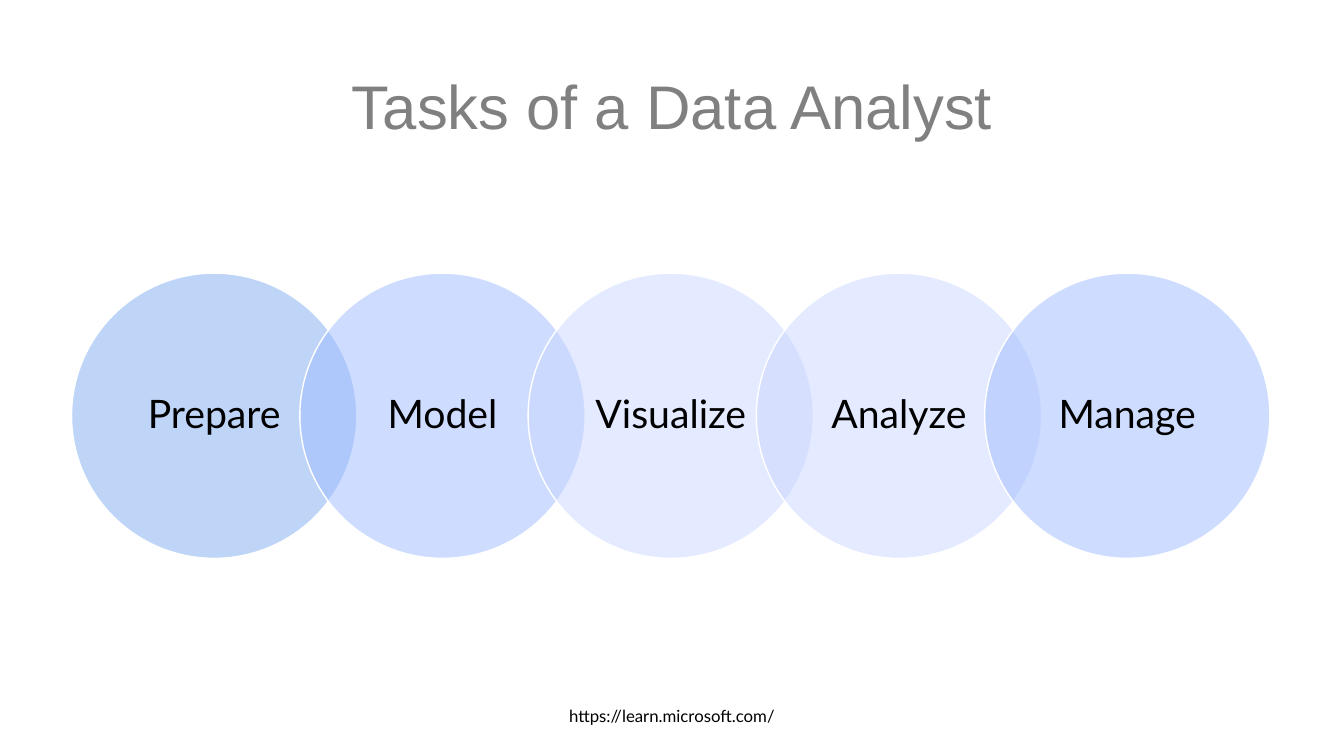
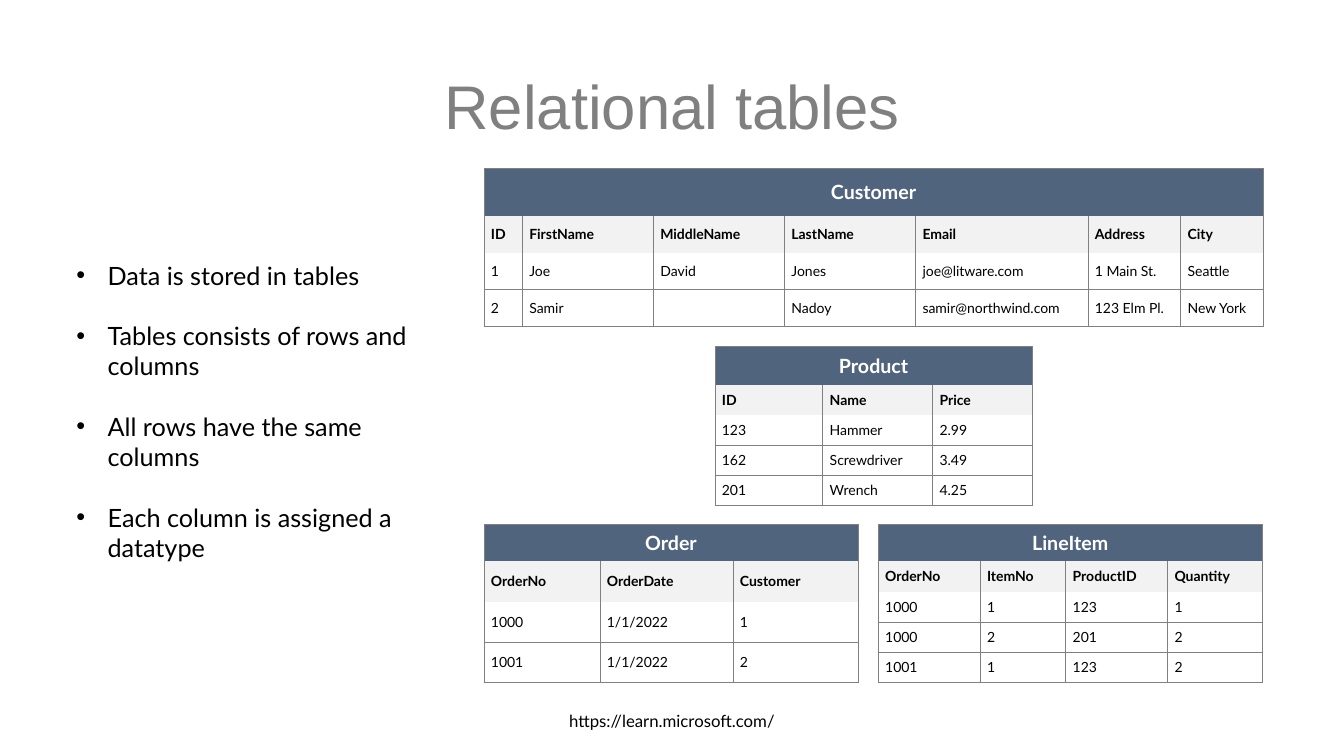
import pptx
import pptx.dml.color
import pptx.enum.shapes
import pptx.enum.text
import pptx.oxml
import pptx.oxml.ns
import pptx.util
from pptx.util import Inches

BODY_FONT, TITLE_FONT = "Lato", "Arial"
BLACK, WHITE, GRAY = "000000", "FFFFFF", "808080"
NAVY, PALE = "51647E", "F2F2F2"
SOURCE = "https://learn.microsoft.com/"
CENTER = pptx.enum.text.PP_ALIGN.CENTER
LEFT = pptx.enum.text.PP_ALIGN.LEFT
MIDDLE = pptx.enum.text.MSO_ANCHOR.MIDDLE

TASKS = [("Prepare", "7FADF3"), ("Model", "9FBCFF"), ("Visualize", "CBD6FF"),
         ("Analyze", "CBD6FF"), ("Manage", "9FBCFF")]
FACTS = ["Data is stored in tables", "Tables consists of rows and columns",
         "All rows have the same columns", "Each column is assigned a datatype"]
RELATIONS = [
    ("Customer", 4.8, 1.67, [0.38, 1.3, 1.3, 1.3, 1.71, 0.92, 0.82], 0.47,
     [["ID", "FirstName", "MiddleName", "LastName", "Email", "Address", "City"],
      ["1", "Joe", "David", "Jones", "joe@litware.com", "1 Main St.", "Seattle"],
      ["2", "Samir", "", "Nadoy", "samir@northwind.com", "123 Elm Pl.", "New York"]]),
    ("Product", 7.09, 3.44, [1.07, 1.09, 0.99], 0.38,
     [["ID", "Name", "Price"], ["123", "Hammer", "2.99"],
      ["162", "Screwdriver", "3.49"], ["201", "Wrench", "4.25"]]),
    ("Order", 4.8, 5.2, [1.15, 1.32, 1.24], 0.37,
     [["OrderNo", "OrderDate", "Customer"],
      ["1000", "1/1/2022", "1"], ["1001", "1/1/2022", "2"]]),
    ("LineItem", 8.71, 5.2, [1.01, 0.85, 1.01, 0.94], 0.37,
     [["OrderNo", "ItemNo", "ProductID", "Quantity"], ["1000", "1", "123", "1"],
      ["1000", "2", "201", "2"], ["1001", "1", "123", "2"]]),
]
RELATION_HEIGHT = 1.57


def rgb(value):
    """Turn a hex string into a colour."""
    return pptx.dml.color.RGBColor.from_string(value)


def style(paragraph, size, color=BLACK, bold=False, align=LEFT, font=BODY_FONT):
    """Set the alignment and font of one paragraph."""
    paragraph.alignment = align
    paragraph.font.name = font
    paragraph.font.size = pptx.util.Pt(size)
    paragraph.font.bold = bold
    paragraph.font.color.rgb = rgb(color)


def xml_child(parent, tag, **attributes):
    """Append a DrawingML element to a parent and return it."""
    child = pptx.oxml.parse_xml(f"<a:{tag} {pptx.oxml.ns.nsdecls('a')}/>")
    for name, value in attributes.items():
        child.set(name, str(value))
    parent.append(child)
    return child


def add_titled_slide(deck, heading, source_top):
    """Add a slide with its title and source line."""
    slide = deck.slides.add_slide(deck.slide_layouts[5])
    title = slide.shapes.title
    title.left, title.top = Inches(0.66), Inches(0.36)
    title.width, title.height = Inches(12.02), Inches(1.45)
    title.text_frame.text = heading
    title.text_frame.vertical_anchor = MIDDLE
    title.text_frame.paragraphs[0].line_spacing = 0.9
    style(title.text_frame.paragraphs[0], 44, GRAY, align=CENTER, font=TITLE_FONT)
    source = slide.shapes.add_textbox(
        Inches(3.33), Inches(source_top), Inches(6.67), Inches(0.3)).text_frame
    source.word_wrap = True
    source.text = SOURCE
    style(source.paragraphs[0], 12, align=CENTER)
    return slide


def add_task_chain(slide, left, top, diameter):
    """Draw the tasks as a row of overlapping translucent circles."""
    for index, (task, color) in enumerate(TASKS):
        circle = slide.shapes.add_shape(
            pptx.enum.shapes.MSO_SHAPE.OVAL, Inches(left + index * 0.8 * diameter),
            Inches(top), Inches(diameter), Inches(diameter))
        circle.shadow.inherit = False
        circle.fill.solid()
        circle.fill.fore_color.rgb = rgb(color)
        fill_color = circle.fill._xPr.find(".//" + pptx.oxml.ns.qn("a:srgbClr"))
        xml_child(fill_color, "alpha", val=50000)
        circle.line.color.rgb = rgb(WHITE)
        circle.line.width = pptx.util.Pt(1)
        label = circle.text_frame
        label.margin_left = label.margin_right = label.margin_top = label.margin_bottom = 0
        label.vertical_anchor = MIDDLE
        label.text = task
        label.paragraphs[0].line_spacing = 0.9
        style(label.paragraphs[0], 28, align=CENTER)


def add_facts(slide, left, top, width, height):
    """Write the bulleted facts."""
    frame = slide.shapes.add_textbox(
        Inches(left), Inches(top), Inches(width), Inches(height)).text_frame
    frame.word_wrap = True
    frame.text = "\n".join(FACTS)
    for paragraph in frame.paragraphs:
        properties = paragraph._p.get_or_add_pPr()
        properties.set("marL", str(Inches(0.31)))
        properties.set("indent", str(-Inches(0.31)))
        xml_child(properties, "buFont", typeface=TITLE_FONT)
        xml_child(properties, "buChar", char="•")
        if paragraph is not frame.paragraphs[-1]:
            paragraph.space_after = pptx.util.Pt(21.6)
        style(paragraph, 18)


def set_borders(cell, visible):
    """Draw the visible sides of a cell and hide the others."""
    properties = cell._tc.get_or_add_tcPr()
    for side in "LRTB":
        border = xml_child(properties, "ln" + side, w=pptx.util.Pt(0.5))
        if side in visible:
            xml_child(xml_child(border, "solidFill"), "srgbClr", val=GRAY)
        else:
            xml_child(border, "noFill")


def fill_cell(cell, text, borders, fill, size=10, color=BLACK, bold=False, align=LEFT):
    """Write and format one table cell."""
    cell.margin_left = cell.margin_right = Inches(0.07)
    cell.margin_top = cell.margin_bottom = Inches(0.04)
    cell.vertical_anchor = MIDDLE
    cell.text = text
    style(cell.text_frame.paragraphs[0], size, color, bold, align)
    set_borders(cell, borders)
    if fill:
        cell.fill.solid()
        cell.fill.fore_color.rgb = rgb(fill)
    else:
        cell.fill.background()


def add_relation(slide, name, left, top, widths, name_height, records):
    """Draw one relation with its name, column heads and records."""
    table = slide.shapes.add_table(
        len(records) + 1, len(widths), Inches(left), Inches(top),
        Inches(sum(widths)), Inches(RELATION_HEIGHT)).table
    table.first_row = table.horz_banding = False
    for column, width in zip(table.columns, widths):
        column.width = Inches(width)
    table.rows[0].height = Inches(name_height)
    table.cell(0, 0).merge(table.cell(0, len(widths) - 1))
    for column in range(len(widths)):
        fill_cell(table.cell(0, column), "" if column else name, "LRT", NAVY,
                  14, WHITE, True, CENTER)
    for row, record in enumerate(records, 1):
        table.rows[row].height = Inches((RELATION_HEIGHT - name_height) / len(records))
        is_head = row == 1
        borders = {1: "LR", 2: "LRB"}.get(row, "LRTB")
        for column, value in enumerate(record):
            fill_cell(table.cell(row, column), value, borders,
                      PALE if is_head else None, bold=is_head)


def main():
    """Build and save the deck."""
    deck = pptx.Presentation()
    deck.slide_width, deck.slide_height = Inches(13.33), Inches(7.5)
    tasks = add_titled_slide(deck, "Tasks of a Data Analyst", 6.95)
    add_task_chain(tasks, 0.71, 2.71, 2.83)
    tables = add_titled_slide(deck, "Relational tables", 7)
    add_facts(tables, 0.66, 2.53, 3.66, 3.43)
    for relation in RELATIONS:
        add_relation(tables, *relation)
    deck.save("out.pptx")


if __name__ == "__main__":
    main()
